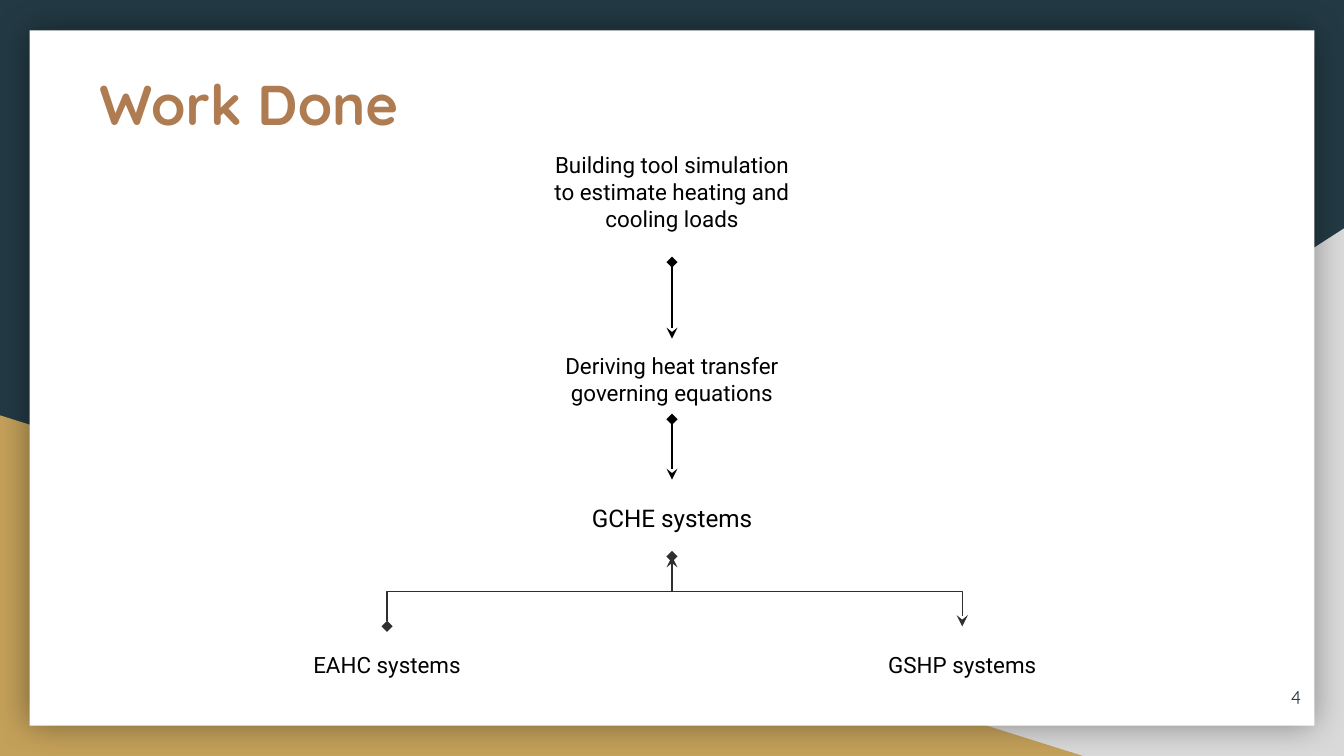
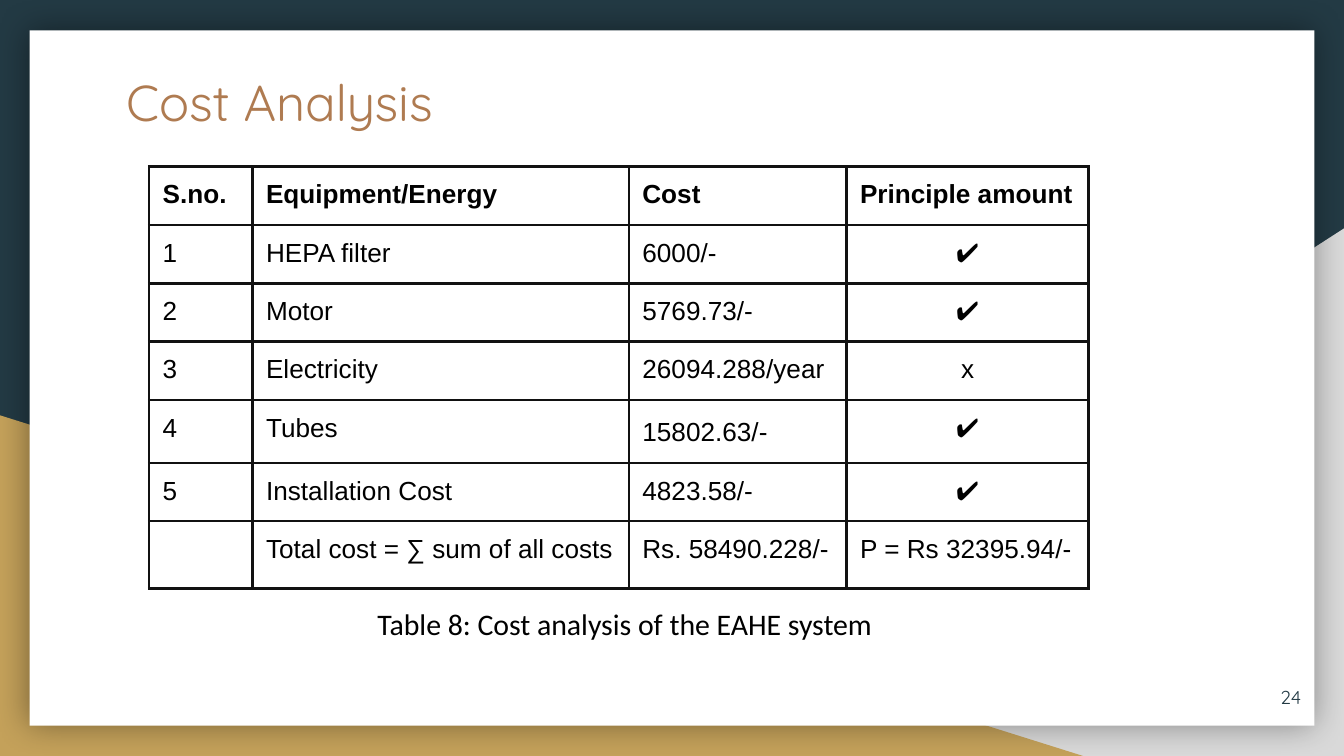
from lxml import etree
from pptx import Presentation
from pptx import util as u
from pptx.dml.color import RGBColor
from pptx.enum import shapes, text
from pptx.oxml import parse_xml
from pptx.oxml.ns import nsdecls, qn

NAVY = RGBColor(0x23, 0x3A, 0x44)
GREY = RGBColor(0xD9, 0xD9, 0xD9)
GOLD = RGBColor(0xC4, 0xA1, 0x5A)
WHITE = RGBColor(0xFF, 0xFF, 0xFF)
COPPER = RGBColor(0xAF, 0x7B, 0x51)
BLACK = RGBColor(0, 0, 0)
CHARCOAL = RGBColor(0x2F, 0x2F, 0x2F)
RULE = RGBColor(0x11, 0x11, 0x11)

HEADING_FONT, FLOW_FONT = "Quicksand", "Roboto"
TABLE_FONT, CAPTION_FONT = "Arial", "Calibri"

COLUMNS, ROWS = 100, 56.25
WIDTH, HEIGHT = u.Inches(10), u.Inches(5.625)
MARGIN = u.Inches(0.1)

LEFT, CENTER, RIGHT = text.PP_ALIGN.LEFT, text.PP_ALIGN.CENTER, text.PP_ALIGN.RIGHT
TOP, MIDDLE = text.MSO_ANCHOR.TOP, text.MSO_ANCHOR.MIDDLE
TOP_SIDE, BOTTOM_SIDE = 0, 2


def across(columns):
    return round(WIDTH * columns / COLUMNS)


def down(rows):
    return round(HEIGHT * rows / ROWS)


def box(left, top, width, height):
    return across(left), down(top), across(width), down(height)


class Deck:
    """Holds the style and the current slide; lengths are grid columns and rows."""

    def __init__(self):
        self.presentation = Presentation()
        self.presentation.slide_width = WIDTH
        self.presentation.slide_height = HEIGHT
        self.slide = None

    def start_slide(self, title, title_box, number, size, bold=False):
        self.slide = self.presentation.slides.add_slide(self.presentation.slide_layouts[6])
        background = self.slide.background.fill
        background.solid()
        background.fore_color.rgb = NAVY
        triangle = shapes.MSO_SHAPE.RIGHT_TRIANGLE
        grey_corner = self.panel(triangle, GREY, 39.2, 17, 60.8, 39.25)
        grey_corner._element.spPr.find(qn("a:xfrm")).set("flipH", "1")
        self.panel(triangle, GOLD, 0, 30.9, 80.6, 25.35)
        self.glow(self.panel(shapes.MSO_SHAPE.RECTANGLE, WHITE, 2.2, 2.25, 95.6, 51.75))
        self.label(title, title_box, size, HEADING_FONT, COPPER, LEFT, TOP, bold)
        self.label(str(number), (91.8, 49.7, 6, 4.3), 10, HEADING_FONT, NAVY, RIGHT)

    def panel(self, outline, color, *place):
        panel = self.slide.shapes.add_shape(outline, *box(*place))
        panel.shadow.inherit = False
        panel.fill.solid()
        panel.fill.fore_color.rgb = color
        panel.line.fill.background()
        return panel

    def glow(self, panel):
        """Give the panel a soft dark shadow on every side."""
        effects = panel._element.spPr.find(qn("a:effectLst"))
        effects.append(parse_xml(
            f'<a:outerShdw {nsdecls("a")} blurRad="{u.Pt(18)}" dist="0" algn="ctr" '
            'rotWithShape="0"><a:srgbClr val="000000"><a:alpha val="40000"/>'
            '</a:srgbClr></a:outerShdw>'))

    def style(self, paragraph, size, font, color, align, bold=False):
        paragraph.alignment = align
        for run in paragraph.runs:
            run.font.size = u.Pt(size)
            run.font.name = font
            run.font.bold = bold
            run.font.color.rgb = color

    def label(self, wording, place, size, font=FLOW_FONT, color=BLACK,
              align=CENTER, anchor=MIDDLE, bold=False):
        label = self.slide.shapes.add_textbox(*box(*place))
        frame = label.text_frame
        frame.word_wrap = True
        frame.vertical_anchor = anchor
        frame.margin_left = frame.margin_right = MARGIN
        frame.margin_top = frame.margin_bottom = MARGIN
        frame.text = wording
        self.style(frame.paragraphs[0], size, font, color, align, bold)
        return label

    def finish_arrow(self, arrow, color):
        arrow.line.color.rgb = color
        arrow.line.width = u.Pt(0.75)
        line = arrow.line._get_or_add_ln()
        for end, head in (("headEnd", "diamond"), ("tailEnd", "stealth")):
            etree.SubElement(line, qn(f"a:{end}"), type=head)
        etree.SubElement(arrow._element.spPr, qn("a:effectLst"))

    def arrow(self, x, start, end, upper=None, lower=None):
        """Draw a downward arrow, joined to the steps that it touches."""
        arrow = self.slide.shapes.add_connector(
            shapes.MSO_CONNECTOR.STRAIGHT, across(x), down(start), across(x), down(end))
        if upper:
            arrow.begin_connect(upper, BOTTOM_SIDE)
        if lower:
            arrow.end_connect(lower, TOP_SIDE)
        self.finish_arrow(arrow, BLACK)

    def branch(self, x1, y1, x2, y2):
        """Draw a left-to-right elbow that leaves and arrives vertically."""
        middle_x, middle_y = (x1 + x2) / 2, (y1 + y2) / 2
        half_rise, half_run = abs(y2 - y1) / 2, (x2 - x1) / 2
        elbow = self.slide.shapes.add_connector(
            shapes.MSO_CONNECTOR.ELBOW,
            across(middle_x - half_rise), down(middle_y - half_run),
            across(middle_x + half_rise), down(middle_y + half_run))
        frame = elbow._element.spPr.find(qn("a:xfrm"))
        frame.set("rot", str(270 * 60000))
        if y2 > y1:
            frame.set("flipH", "1")
        self.finish_arrow(elbow, CHARCOAL)

    def rule_cell(self, cell):
        properties = cell._tc.get_or_add_tcPr()
        for side in "LRTB":
            properties.append(parse_xml(
                f'<a:ln{side} {nsdecls("a")} w="{u.Pt(1.5)}"><a:solidFill>'
                f'<a:srgbClr val="{RULE}"/></a:solidFill></a:ln{side}>'))
        cell.fill.background()

    def table(self, records, left, top, widths, heights):
        table = self.slide.shapes.add_table(
            len(records), len(widths), *box(left, top, sum(widths), sum(heights))).table
        table.first_row = table.horz_banding = False
        for column, width in zip(table.columns, widths):
            column.width = across(width)
        for row, (record, height) in enumerate(zip(records, heights)):
            table.rows[row].height = down(height)
            for column, entry in enumerate(record):
                cell = table.cell(row, column)
                cell.margin_left = cell.margin_right = MARGIN
                cell.margin_top = cell.margin_bottom = MARGIN
                self.rule_cell(cell)
                if entry:
                    cell.text_frame.text = entry
                    self.style(cell.text_frame.paragraphs[0], 14, TABLE_FONT, BLACK,
                               CENTER if entry in ("✔", "x") else LEFT, row == 0)
        return table


def add_work_done(deck):
    deck.start_slide("Work Done", (6.4, 4.2, 27.8, 7.9), 4, 30, bold=True)
    center, eahc, gshp = 50, 28.8, 71.6
    systems_bottom, branches_top = 41.4, 46.6
    deck.branch(center, systems_bottom, gshp, branches_top)
    deck.branch(eahc, branches_top, center, systems_bottom)

    def step(wording, middle, top, width, height, size=12):
        return deck.label(wording, (middle - width / 2, top, width, height), size)

    step("Building tool simulation to estimate heating and cooling loads",
         center, 10.3, 21.2, 7.9)
    equations = step("Deriving heat transfer governing equations", center, 25.2, 20.6, 6)
    systems = step("GCHE systems", center, 35.7, 14.8, 5.7, size=13)
    step("EAHC systems", eahc, branches_top, 14.8, 5.7)
    step("GSHP systems", gshp, branches_top, 14.8, 5.7)
    deck.arrow(center, 19.5, 25.2, lower=equations)
    deck.arrow(center, 31.2, 35.7, upper=equations, lower=systems)


def add_cost_analysis(deck):
    deck.start_slide("Cost Analysis", (8.4, 4.3, 82.1, 6.9), 24, 27)
    costs = [
        ("S.no.", "Equipment/Energy", "Cost", "Principle amount"),
        ("1", "HEPA filter", "6000/-", "✔"),
        ("2", "Motor", "5769.73/-", "✔"),
        ("3", "Electricity", "26094.288/year", "x"),
        ("4", "Tubes", "15802.63/-", "✔"),
        ("5", "Installation Cost", "4823.58/-", "✔"),
        ("", "Total cost = ∑ sum of all costs", "Rs. 58490.228/-", "P = Rs 32395.94/-"),
    ]
    heights = [4.2] * 4 + [4.5, 4.2, 4.8]
    table = deck.table(costs, 11.1, 12.4, (7.7, 28, 16.2, 18), heights)
    tubes_cost = table.cell(4, 2).text_frame.paragraphs[0]
    tubes_cost.line_spacing = 1.15
    tubes_cost.space_after = u.Pt(12)
    deck.label("Table 8: Cost analysis of the EAHE system", (11.5, 44.1, 70, 4.7),
               16, CAPTION_FONT, anchor=TOP)


def main():
    deck = Deck()
    add_work_done(deck)
    add_cost_analysis(deck)
    deck.presentation.save("out.pptx")


if __name__ == "__main__":
    main()
